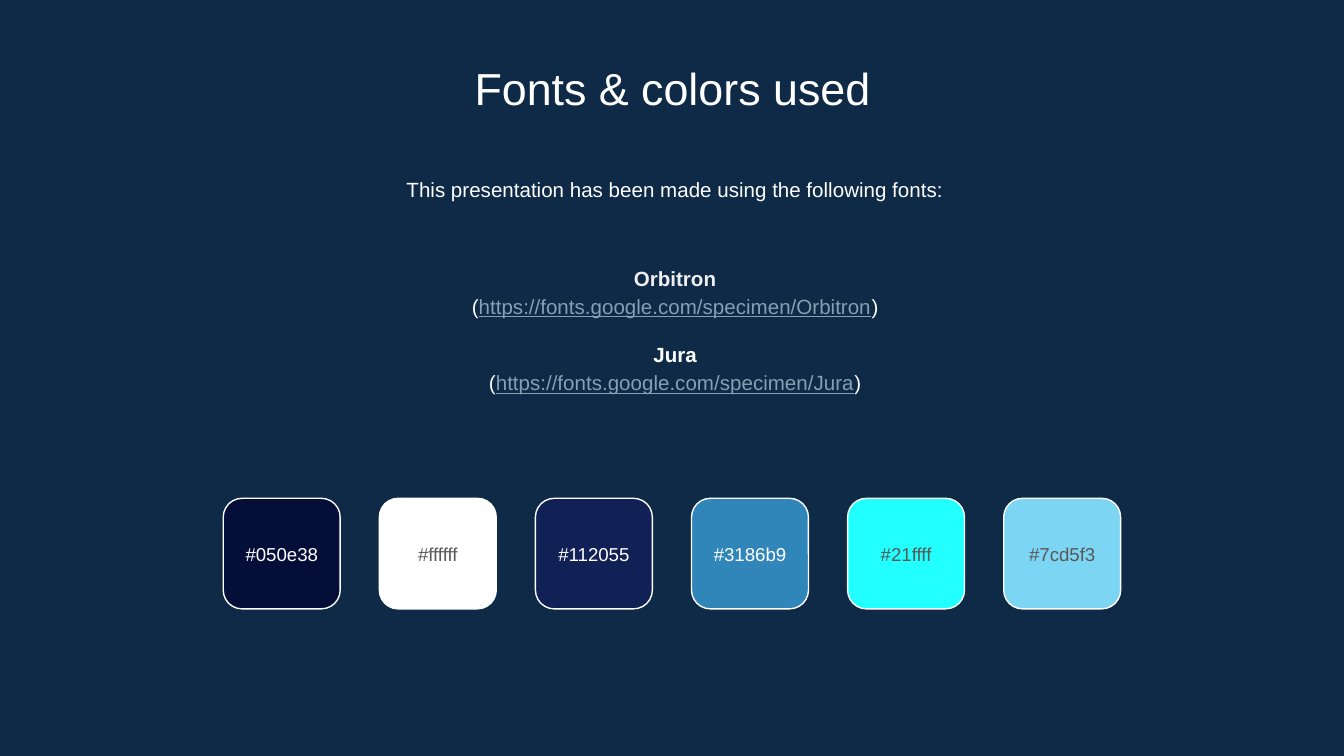
from pptx import Presentation
from pptx import util as u
from pptx.dml import color
from pptx.enum import shapes, text


def rgb(value):
    return color.RGBColor.from_string(value.lstrip("#").upper())


def add_text(s, lines, at, size=11, fill="FFFFFF", anchor=text.MSO_ANCHOR.TOP, spacing=1.0, gaps=()):
    tf = s.shapes.add_textbox(*[u.Cm(v) for v in at]).text_frame
    tf.word_wrap = True
    tf.vertical_anchor = anchor
    tf.margin_left = tf.margin_right = tf.margin_top = tf.margin_bottom = u.Cm(0.25)
    for i, line in enumerate(lines):
        p = tf.paragraphs[0] if i == 0 else tf.add_paragraph()
        p.alignment = text.PP_ALIGN.CENTER
        p.line_spacing = spacing
        if i in gaps:
            p.space_before = u.Pt(10.7)
        for words, style in line:
            r = p.add_run()
            r.text = words
            r.font.name = "Arial"
            r.font.size = u.Pt(size)
            r.font.bold = style.get("bold", False)
            r.font.underline = style.get("underline", False)
            r.font.color.rgb = rgb(style.get("fill", fill))


prs = Presentation()
prs.slide_width, prs.slide_height = u.Cm(25.4), u.Cm(14.29)
s = prs.slides.add_slide(prs.slide_layouts[6])
s.background.fill.solid()
s.background.fill.fore_color.rgb = rgb("0E2A47")

add_text(s, [[("Fonts & colors used", {})]], (2.92, 0.89, 19.58, 1.35), size=24)
add_text(s, [[("This presentation has been made using the following fonts:", {})]],
         (2.97, 3.02, 19.58, 1.22), spacing=1.15)

fonts = [("Orbitron", "EFEFEF"), ("Jura", "FFFFFF")]
lines = []
for name, fill in fonts:
    link = f"https://fonts.google.com/specimen/{name}"
    lines.append([(name, {"bold": True, "fill": fill})])
    lines.append([("(", {}), (link, {"fill": "869FB2", "underline": True}), (")", {})])
add_text(s, lines, (2.97, 4.47, 19.58, 3.48), anchor=text.MSO_ANCHOR.MIDDLE, spacing=1.15, gaps=(2,))

swatches = [
    ("#050e38", "FFFFFF"), ("#ffffff", "595959"), ("#112055", "FFFFFF"),
    ("#3186b9", "FFFFFF"), ("#21ffff", "595959"), ("#7cd5f3", "595959"),
]
for i, (code, ink) in enumerate(swatches):
    left = 4.22 + i * 2.95
    sp = s.shapes.add_shape(shapes.MSO_SHAPE.ROUNDED_RECTANGLE,
                            u.Cm(left), u.Cm(9.42), u.Cm(2.21), u.Cm(2.09))
    sp.shadow.inherit = False
    sp.adjustments[0] = 0.17
    sp.fill.solid()
    sp.fill.fore_color.rgb = rgb(code)
    sp.line.color.rgb = rgb("FFFFFF")
    sp.line.width = u.Pt(0.75)
    add_text(s, [[(code, {})]], (left, 9.86, 2.21, 1.22), size=10, fill=ink,
             anchor=text.MSO_ANCHOR.MIDDLE)

prs.save("out.pptx")
